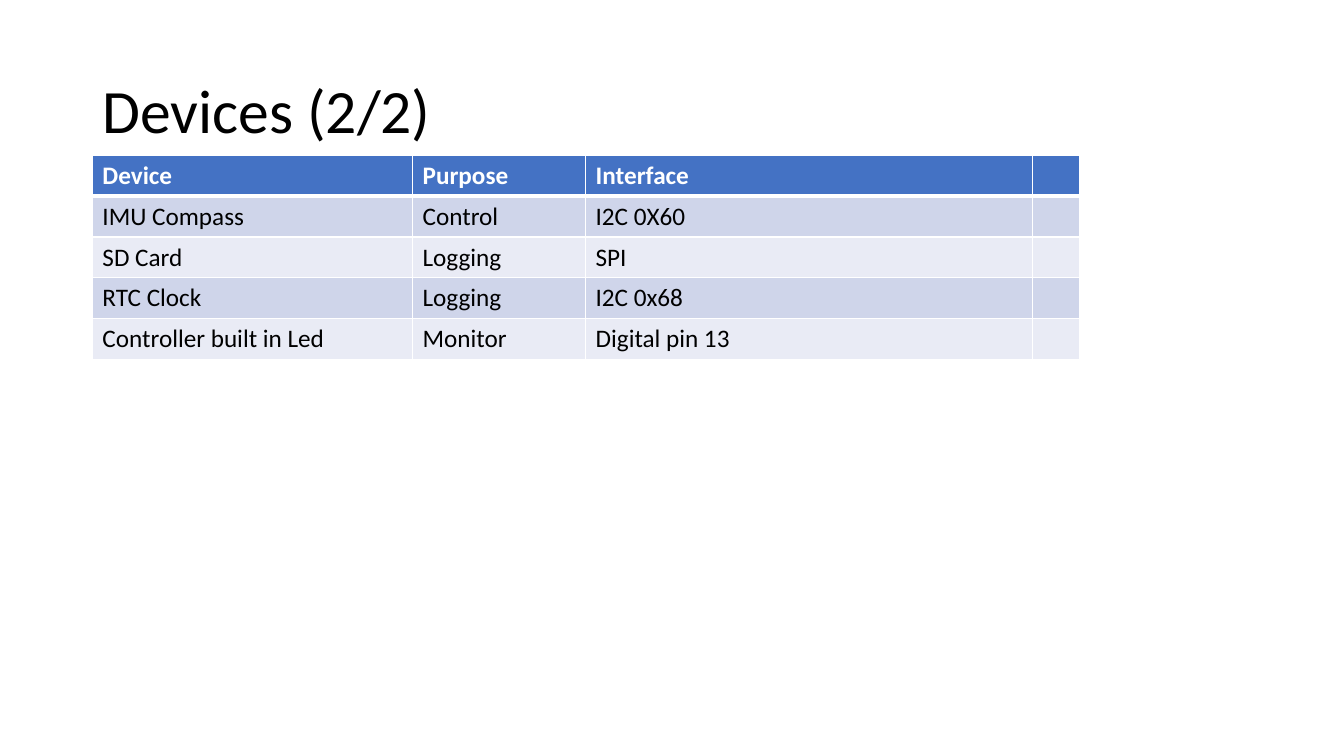
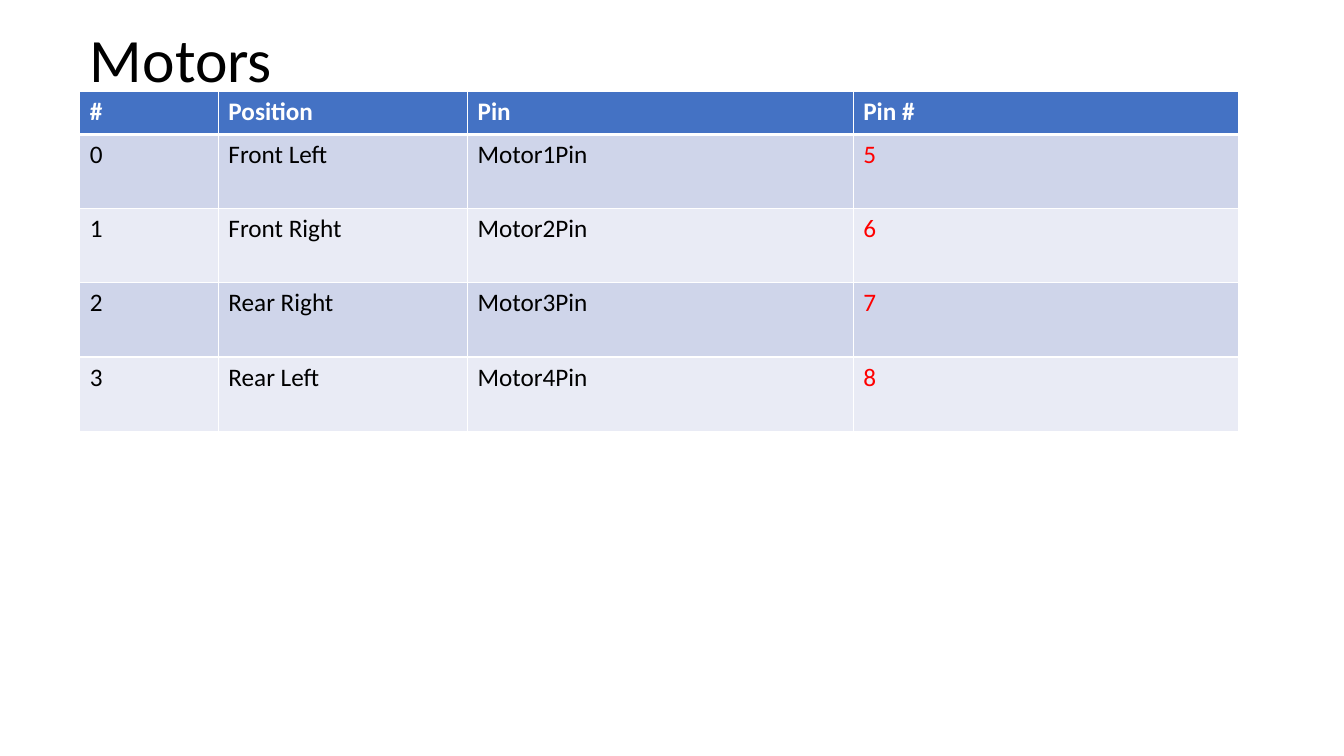
from lxml import etree
from pptx import Presentation
from pptx.dml.color import RGBColor
from pptx.enum.text import MSO_ANCHOR, PP_ALIGN
from pptx.oxml.ns import qn
from pptx.util import Pt

LEFT = PP_ALIGN.LEFT
TOP = MSO_ANCHOR.TOP
MIDDLE = MSO_ANCHOR.MIDDLE
TITLE_ONLY = 5

FONT = "Calibri"
WHITE, BLACK, RED = "FFFFFF", "000000", "FF0000"
HEADER_FILL = "4472C4"
BAND_FILLS = ("CFD5EA", "E9EBF5")

DEVICES = [
    ("Device", "Purpose", "Interface", ""),
    ("IMU Compass", "Control", "I2C 0X60", ""),
    ("SD Card", "Logging", "SPI", ""),
    ("RTC Clock", "Logging", "I2C 0x68", ""),
    ("Controller built in Led", "Monitor", "Digital pin 13", ""),
]
POSITIONS = ("Front Left", "Front Right", "Rear Right", "Rear Left")
MOTORS = [("#", "Position", "Pin", "Pin #")] + [
    (str(index), position, f"Motor{index + 1}Pin", str(index + 5))
    for index, position in enumerate(POSITIONS)
]


def color(value):
    """Turn a hex string into a colour."""
    return RGBColor.from_string(value)


def style_paragraph(paragraph, size, text_color, bold=False):
    """Apply the shared font to a paragraph."""
    paragraph.alignment = LEFT
    paragraph.font.name = FONT
    paragraph.font.size = Pt(size)
    paragraph.font.bold = bold
    paragraph.font.color.rgb = color(text_color)


def add_title(slide, text, box):
    """Fill the title placeholder and place it in the box."""
    title = slide.shapes.title
    title.left, title.top, title.width, title.height = map(Pt, box)
    title.text_frame.text = text
    title.text_frame.vertical_anchor = MIDDLE
    paragraph = title.text_frame.paragraphs[0]
    paragraph.line_spacing = 0.9
    style_paragraph(paragraph, 44, BLACK)


def set_borders(cell, bottom_width):
    """Draw white cell borders with the given bottom width."""
    properties = cell._tc.get_or_add_tcPr()
    widths = {"a:lnL": 1, "a:lnR": 1, "a:lnT": 1, "a:lnB": bottom_width}
    for index, (tag, width) in enumerate(widths.items()):
        line = etree.Element(qn(tag), w=str(Pt(width)))
        fill = etree.SubElement(line, qn("a:solidFill"))
        etree.SubElement(fill, qn("a:srgbClr"), val=WHITE)
        properties.insert(index, line)


def style_cell(cell, text, fill, text_color, is_header):
    """Write one cell with its fill, font and borders."""
    cell.text = text
    cell.vertical_anchor = TOP
    cell.fill.solid()
    cell.fill.fore_color.rgb = color(fill)
    style_paragraph(cell.text_frame.paragraphs[0], 18, text_color, is_header)
    set_borders(cell, 3 if is_header else 1)


def add_banded_table(slide, rows, left, top, widths, heights, red_column=None):
    """Add a table with a header row and banded body rows."""
    frame = slide.shapes.add_table(
        len(rows), len(widths), Pt(left), Pt(top), Pt(sum(widths)), Pt(sum(heights))
    )
    table = frame.table
    for column, width in zip(table.columns, widths):
        column.width = Pt(width)
    for row_index, (values, height) in enumerate(zip(rows, heights)):
        table.rows[row_index].height = Pt(height)
        is_header = row_index == 0
        fill = HEADER_FILL if is_header else BAND_FILLS[(row_index - 1) % 2]
        for column_index, text in enumerate(values):
            body_color = RED if column_index == red_column else BLACK
            text_color = WHITE if is_header else body_color
            cell = table.cell(row_index, column_index)
            style_cell(cell, text, fill, text_color, is_header)


def add_table_slide(presentation, title, title_box, rows, table_top, widths, heights,
                    red_column=None):
    """Add a slide with a title and a table aligned to its left edge."""
    slide = presentation.slides.add_slide(presentation.slide_layouts[TITLE_ONLY])
    add_title(slide, title, title_box)
    add_banded_table(slide, rows, title_box[0], table_top, widths, heights, red_column)


def main():
    """Build and save the presentation."""
    presentation = Presentation()
    presentation.slide_width = Pt(960)
    presentation.slide_height = Pt(540)
    add_table_slide(
        presentation, "Devices (2/2)", (66, 28.75, 828, 104.4), DEVICES,
        110.9, (228.7, 123.6, 319.2, 33.5), [29.2] * 5,
    )
    add_table_slide(
        presentation, "Motors", (57, 15, 828, 59), MOTORS,
        65.5, (99, 178, 275.5, 275.5), [30.6] + [53] * 4, red_column=3,
    )
    presentation.save("out.pptx")


if __name__ == "__main__":
    main()
